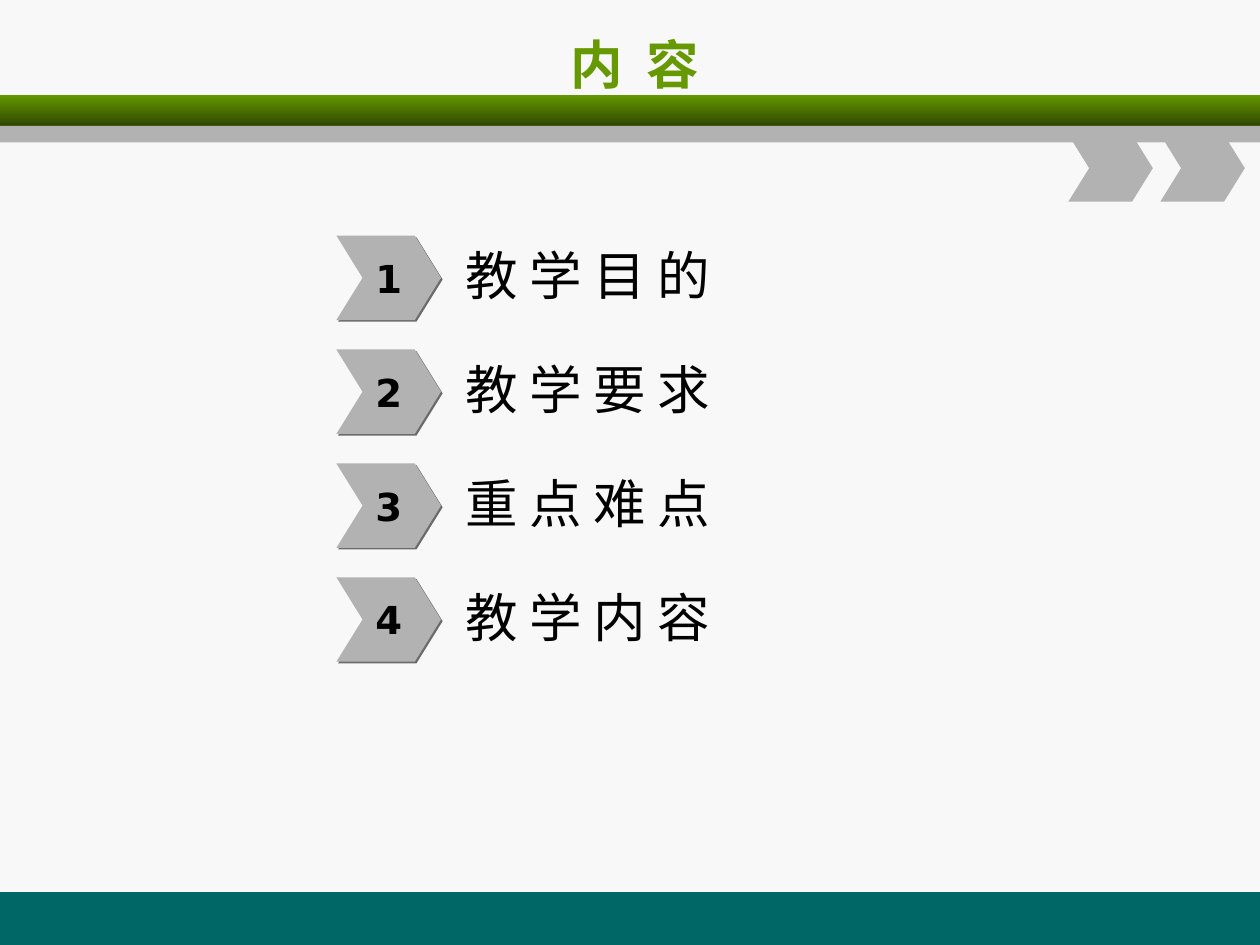
from lxml.etree import SubElement
from pptx import Presentation
from pptx.dml.color import RGBColor
from pptx.enum.shapes import MSO_SHAPE as Shape
from pptx.enum.text import MSO_ANCHOR as Anchor, PP_ALIGN as Align
from pptx.oxml.ns import qn
from pptx.util import Inches, Pt

BACKGROUND = RGBColor(0xF8, 0xF8, 0xF8)
TEAL = RGBColor(0x00, 0x66, 0x66)
GREEN = RGBColor(0x66, 0x99, 0x00)
DARK_GREEN = RGBColor(0x2F, 0x47, 0x00)
GRAY = RGBColor(0xB2, 0xB2, 0xB2)
BLACK = RGBColor(0x00, 0x00, 0x00)
SHADOW = "6B6B6B"
FONT = "DejaVu Sans"

TOPICS = ["教 学 目 的", "教 学 要 求", "重 点 难 点", "教 学 内 容"]
FIRST_TOP = 1.87
ROW_STEP = 0.904
NOTCH = 0.31


def add_filled(page, kind, left, top, width, height, color):
    shape = page.shapes.add_shape(
        kind, Inches(left), Inches(top), Inches(width), Inches(height))
    shape.shadow.inherit = False
    shape.fill.solid()
    shape.fill.fore_color.rgb = color
    shape.line.fill.background()
    return shape


def add_chevron(page, left, top, width, height):
    chevron = add_filled(page, Shape.CHEVRON, left, top, width, height, GRAY)
    chevron.adjustments[0] = NOTCH
    return chevron


def add_drop_shadow(shape):
    effects = shape._element.spPr.find(qn("a:effectLst"))
    shadow = SubElement(effects, qn("a:outerShdw"), dist=str(Pt(1.4)),
                        dir="2700000", algn="ctr", rotWithShape="0")
    SubElement(shadow, qn("a:srgbClr"), val=SHADOW)


def write(shape, text, size, color, bold=False, align=Align.LEFT, wrap=False):
    frame = shape.text_frame
    frame.word_wrap = wrap
    frame.vertical_anchor = Anchor.MIDDLE
    para = frame.paragraphs[0]
    para.text = text
    para.alignment = align
    font = para.font
    font.name, font.size, font.bold = FONT, Pt(size), bold
    font.color.rgb = color


def add_text(page, left, top, width, height, text, size, color, **style):
    box = page.shapes.add_textbox(
        Inches(left), Inches(top), Inches(width), Inches(height))
    write(box, text, size, color, **style)


def add_frame(page):
    # Footer and header bars
    add_filled(page, Shape.RECTANGLE, 0, 7.08, 10, 0.42, TEAL)
    header = add_filled(page, Shape.RECTANGLE, 0, 0.75, 10, 0.25, GREEN)
    header.fill.gradient()
    header.fill.gradient_angle = 270
    for stop, color in zip(header.fill.gradient_stops, (GREEN, DARK_GREEN)):
        stop.color.rgb = color
    add_filled(page, Shape.RECTANGLE, 0, 1, 10, 0.13, GRAY)

    # Chevrons hanging from the header
    for left in (8.48, 9.21):
        add_chevron(page, left, 1.07, 0.67, 0.53)


def add_topic(page, number, topic):
    top = FIRST_TOP + (number - 1) * ROW_STEP
    add_text(page, 3.5, top + 0.02, 2.75, 0.58, " " + topic, 30, BLACK)
    marker = add_chevron(page, 2.67, top, 0.83, 0.67)
    add_drop_shadow(marker)
    write(marker, str(number), 22, BLACK, bold=True, align=Align.CENTER)


def main():
    deck = Presentation()
    deck.slide_width, deck.slide_height = Inches(10), Inches(7.5)
    page = deck.slides.add_slide(deck.slide_layouts[6])
    page.background.fill.solid()
    page.background.fill.fore_color.rgb = BACKGROUND

    add_frame(page)
    add_text(page, 0.54, 0.17, 9, 0.67, "内  容", 30, GREEN,
             bold=True, align=Align.CENTER, wrap=True)

    # Numbered topics
    for number, topic in enumerate(TOPICS, start=1):
        add_topic(page, number, topic)

    deck.save("out.pptx")


if __name__ == "__main__":
    main()
